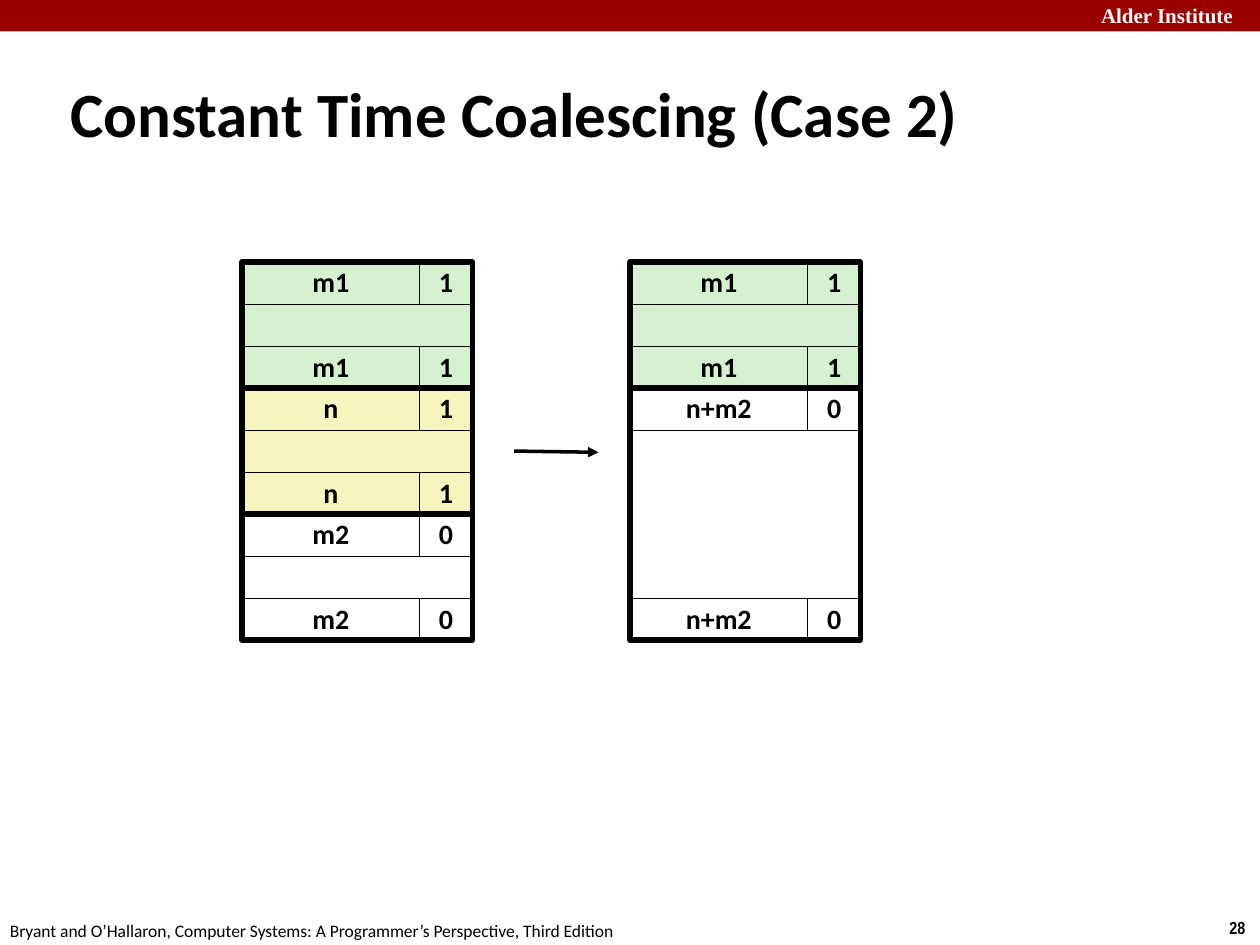
from pptx import Presentation
from pptx.dml.color import RGBColor
from pptx.enum.shapes import MSO_CONNECTOR, MSO_SHAPE
from pptx.enum.text import MSO_ANCHOR, PP_ALIGN
from pptx.oxml.ns import qn
from pptx.util import Inches, Pt
from lxml.etree import SubElement

BLACK, WHITE, RED = "000000", "FFFFFF", "990000"
GREEN, YELLOW = "D5F1CF", "F6F5BD"
ROW = 1 / 3  # height of one word of memory
FLAG = 0.42  # width of the allocated flag


def color(value):
    return RGBColor.from_string(value)


def write(shape, text, size=16, font="Calibri", ink=BLACK, bold=True,
          align=PP_ALIGN.LEFT, anchor=MSO_ANCHOR.TOP, wrap=False, spacing=None):
    frame = shape.text_frame
    frame.word_wrap = wrap
    frame.vertical_anchor = anchor
    paragraph = frame.paragraphs[0]
    paragraph.alignment = align
    paragraph.line_spacing = spacing
    run = paragraph.add_run()
    run.text = text
    run.font.size = Pt(size)
    run.font.name = font
    run.font.bold = bold
    run.font.color.rgb = color(ink)


def add_label(slide, box, text, **style):
    label = slide.shapes.add_textbox(*map(Inches, box))
    write(label, text, **style)


def add_box(slide, box, fill=None, border=None):
    rect = slide.shapes.add_shape(MSO_SHAPE.RECTANGLE, *map(Inches, box))
    rect.shadow.inherit = False
    if fill:
        rect.fill.solid()
        rect.fill.fore_color.rgb = color(fill)
    else:
        rect.fill.background()
    if border:
        rect.line.color.rgb = color(BLACK)
        rect.line.width = Pt(border)
    else:
        rect.line.fill.background()
    return rect


def add_block(slide, box, fill, size, flag):
    """Memory block: header, payload and footer inside a thick outline."""
    left, top, width, height = box
    size_width = width - FLAG
    for tag_top in (top, top + height - ROW):
        for x, cell_width, text in ((left, size_width, size),
                                    (left + size_width, FLAG, flag)):
            cell = add_box(slide, (x, tag_top, cell_width, ROW), fill, 0.25)
            write(cell, text, align=PP_ALIGN.CENTER,
                  anchor=MSO_ANCHOR.MIDDLE, spacing=0.98)
    add_box(slide, (left, top + ROW, width, height - 2 * ROW), fill, 0.25)
    add_box(slide, box, border=3)


def add_heap(slide, box, blocks):
    """Stack of memory blocks, each given with its number of rows."""
    left, top, width, _ = box
    for rows, fill, size, flag in blocks:
        add_block(slide, (left, top, width, rows * ROW), fill, size, flag)
        top += rows * ROW


def add_arrow(slide, start, end):
    arrow = slide.shapes.add_connector(
        MSO_CONNECTOR.STRAIGHT, *map(Inches, start + end))
    arrow.line.color.rgb = color(BLACK)
    arrow.line.width = Pt(2)
    SubElement(arrow.line._get_or_add_ln(), qn("a:tailEnd"), type="triangle")
    SubElement(arrow._element.spPr, qn("a:effectLst"))


def add_banner(slide, box):
    add_box(slide, box, RED)
    add_label(slide, (8.64, -0.03, 1.43, 0.3), "Alder Institute", size=12,
              font="Times New Roman", ink=WHITE)


def add_footer(slide, box):
    left, top, width, height = box
    add_label(slide, (left + width - 0.34, top, 0.34, height), "28",
              size=10, font="Arial Narrow")
    add_label(slide, (left - 0.02, top + 0.02, 5.08, height),
              "Bryant and O’Hallaron, Computer Systems: "
              "A Programmer’s Perspective, Third Edition",
              size=10, bold=False)


def main():
    deck = Presentation()
    deck.slide_width, deck.slide_height = Inches(10), Inches(7.5)
    slide = deck.slides.add_slide(deck.slide_layouts[6])

    add_banner(slide, (0, 0, 10, 0.25))
    add_footer(slide, (0, 7.23, 10, 0.27))
    add_label(slide, (0.46, 0.58, 9.08, 0.63),
              "Constant Time Coalescing (Case 2)", size=36,
              anchor=MSO_ANCHOR.MIDDLE, wrap=True)

    # Heap before and after the middle block is freed
    previous = (3, GREEN, "m1", "1")
    add_heap(slide, (1.92, 2.08, 1.83, 3),
             [previous, (3, YELLOW, "n", "1"), (3, WHITE, "m2", "0")])
    add_heap(slide, (5, 2.08, 1.83, 3),
             [previous, (6, WHITE, "n+m2", "0")])
    add_arrow(slide, (4.08, 3.58), (4.75, 3.59))

    deck.save("out.pptx")


if __name__ == "__main__":
    main()
